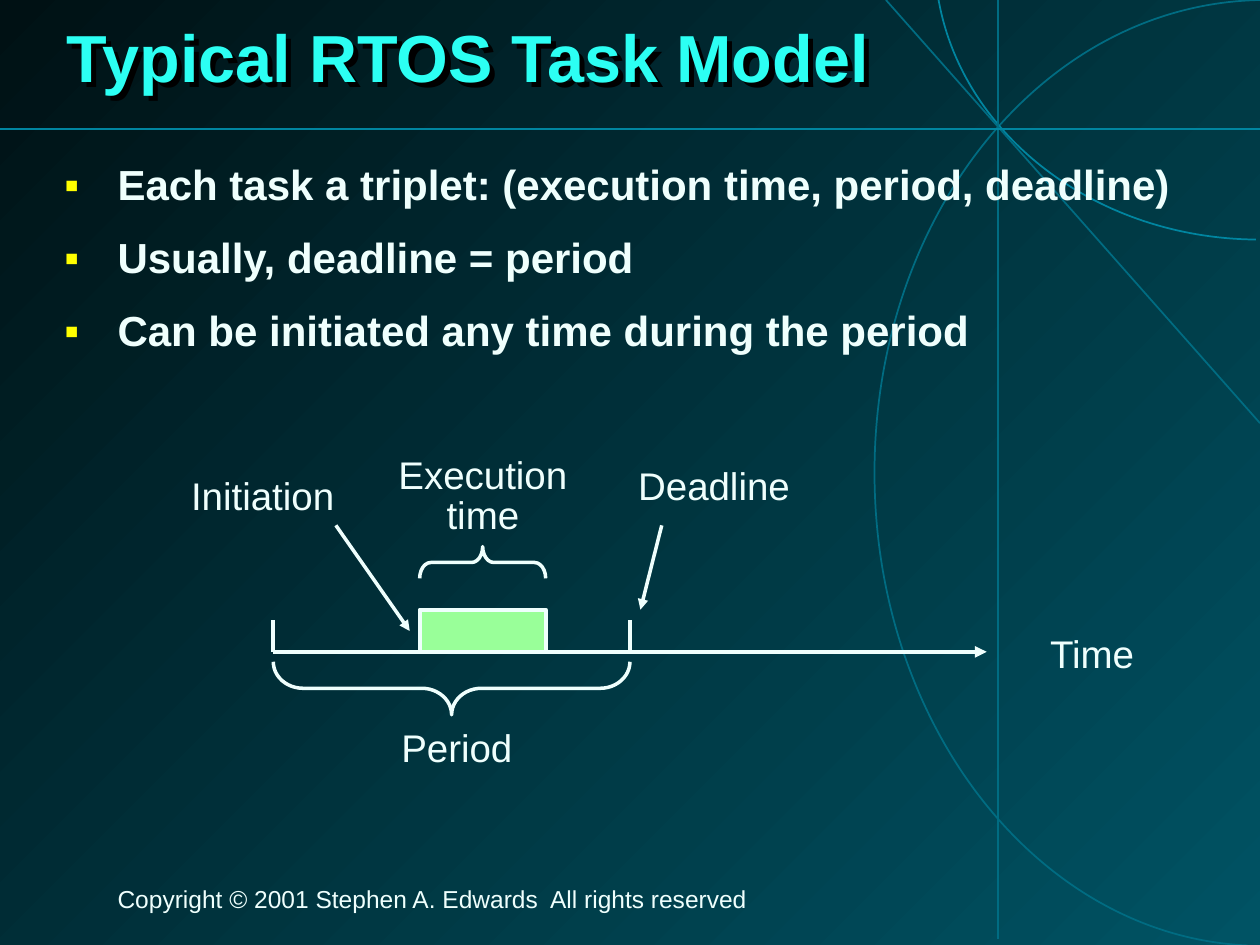
from lxml import etree
from pptx import Presentation
from pptx.dml.color import RGBColor
from pptx.enum.shapes import MSO_CONNECTOR, MSO_SHAPE
from pptx.enum.text import MSO_ANCHOR, MSO_AUTO_SIZE, PP_ALIGN
from pptx.oxml.ns import qn
from pptx.util import Cm, Pt

STRAIGHT = MSO_CONNECTOR.STRAIGHT
RECTANGLE, LEFT_BRACE = MSO_SHAPE.RECTANGLE, MSO_SHAPE.LEFT_BRACE
LEFT, CENTER = PP_ALIGN.LEFT, PP_ALIGN.CENTER
TOP, MIDDLE = MSO_ANCHOR.TOP, MSO_ANCHOR.MIDDLE
NO_FIT, GROW = MSO_AUTO_SIZE.NONE, MSO_AUTO_SIZE.SHAPE_TO_FIT_TEXT

WHITE, CYAN, YELLOW, GREEN = "EFFFFD", "2CFFF3", "FFFF00", "99FF99"
DARK_TEAL, TEAL = "006C82", "0085A0"
AXIS_Y, PERIOD_START, PERIOD_END = 13.14, 5.51, 12.7
TASK_LEFT, TASK_TOP, TASK_WIDTH = 8.46, 12.29, 2.54


def rgb(value):
    """Return the colour for a hex string."""
    return RGBColor.from_string(value)


def add_xml(parent, tag, **attributes):
    """Append a DrawingML element and return it."""
    return etree.SubElement(parent, qn(tag), attributes)


def set_line(item, color, width):
    """Set the colour and width of an outline."""
    item.line.color.rgb = rgb(color)
    item.line.width = Pt(width)


def write(frame, text, size=22, color=WHITE, bold=False, align=LEFT,
          anchor=TOP, fit=NO_FIT, spacing=0.85, before=0):
    """Fill a text frame, one paragraph per line of text."""
    frame.word_wrap = True
    frame.auto_size = fit
    frame.vertical_anchor = anchor
    frame.text = text
    for paragraph in frame.paragraphs:
        paragraph.alignment = align
        paragraph.line_spacing = spacing
        paragraph.space_before = Pt(before)
        font = paragraph.runs[0].font
        font.name, font.size, font.bold = "Arial", Pt(size), bold
        font.color.rgb = rgb(color)


def add_text(slide, text, left, top, width, height, **style):
    """Add a text box and return its frame."""
    box = slide.shapes.add_textbox(Cm(left), Cm(top), Cm(width), Cm(height))
    write(box.text_frame, text, **style)
    return box.text_frame


def add_line(slide, start, end, color=WHITE, width=2.25, arrow=False):
    """Add a straight line, with an optional arrowhead at its end."""
    line = slide.shapes.add_connector(STRAIGHT, *map(Cm, start + end))
    set_line(line, color, width)
    properties = line.element.spPr
    if arrow:
        add_xml(properties.find(qn("a:ln")), "a:tailEnd", type="triangle")
    add_xml(properties, "a:effectLst")


def add_curve(slide, points, corner, color):
    """Add a Bézier curve whose frame reaches out to a corner."""
    start, *controls = [(Cm(x), Cm(y)) for x, y in points]
    builder = slide.shapes.build_freeform(*start)
    builder.add_line_segments(controls, close=False)
    builder.move_to(*map(Cm, corner))
    curve = builder.convert_to_shape()
    curve.shadow.inherit = False
    curve.fill.background()
    set_line(curve, color, 1)
    segments = list(curve.element.iter(qn("a:lnTo")))
    for first in range(0, len(segments), 3):
        bezier = etree.Element(qn("a:cubicBezTo"))
        segments[first].addprevious(bezier)
        for segment in segments[first:first + 3]:
            bezier.append(segment[0])
            segment.getparent().remove(segment)


def add_brace(slide, left, top, width, depth, rotation, curve):
    """Add a horizontal brace, given the area that it covers once rotated."""
    shift = (width - depth) / 2
    brace = slide.shapes.add_shape(LEFT_BRACE, Cm(left + shift), Cm(top - shift),
                                   Cm(depth), Cm(width))
    brace.rotation = rotation
    brace.adjustments[0] = curve
    brace.shadow.inherit = False
    brace.fill.background()
    set_line(brace, WHITE, 2)


def add_backdrop(slide):
    """Draw the gradient, the curves, the thin lines and the footer."""
    fill = slide.background.fill
    fill.gradient()
    fill.gradient_angle = 315
    for stop, color, position in zip(fill.gradient_stops, ("001114", "005364"), (0, 1)):
        stop.color.rgb = rgb(color)
        stop.position = position
    add_curve(slide, ((25.15, 19.06), (20.96, 18.87), (17.63, 14.66), (17.63, 9.53),
                      (17.63, 4.27), (21.11, 0), (25.53, 0)), (25.53, 0), DARK_TEAL)
    add_curve(slide, ((25.32, 4.83), (22.07, 4.8), (19.33, 2.69), (18.9, -0.13)),
              (25.4, -0.89), TEAL)
    add_line(slide, (25.4, 8.53), (17.86, 0), DARK_TEAL, 1)
    add_line(slide, (20.12, 0), (20.12, 18.92), DARK_TEAL, 1)
    add_line(slide, (0, 2.6), (25.4, 2.6), TEAL, 1)
    add_text(slide, "Copyright © 2001 Stephen A. Edwards  All rights reserved",
             2.12, 17.78, 20.52, 0.76, size=14, fit=GROW, before=8.8)


def add_title(slide, text):
    """Place the title in front of the backdrop, with a black shadow."""
    title = slide.shapes.title
    slide.shapes.element.append(title.element)
    title.left, title.top, title.width, title.height = map(Cm, (1.09, 0, 23.39, 2.49))
    write(title.text_frame, text, size=38, color=CYAN, bold=True,
          anchor=MIDDLE, spacing=0.87)
    title.fill.background()
    effects = add_xml(title.element.spPr, "a:effectLst")
    shadow = add_xml(effects, "a:outerShdw", dist="53900", dir="2700000")
    add_xml(shadow, "a:srgbClr", val="000000")


def add_bullets(slide, points):
    """Add the list of points with yellow square bullets."""
    frame = add_text(slide, "\n".join(points), 1.05, 3.16, 23.16, 14.2,
                     size=24, bold=True, spacing=0.93, before=15)
    indent = Cm(1.07)
    for properties in frame._txBody.iter(qn("a:pPr")):
        properties.set("marL", str(indent))
        properties.set("indent", str(-indent))
        add_xml(add_xml(properties, "a:buClr"), "a:srgbClr", val=YELLOW)
        add_xml(properties, "a:buFont", typeface="Arial")
        add_xml(properties, "a:buChar", char="▪")


def add_timeline(slide):
    """Draw the time axis with the task, its braces and its labels."""
    add_line(slide, (PERIOD_START, AXIS_Y), (19.89, AXIS_Y), arrow=True)
    for x in (PERIOD_START, PERIOD_END):
        add_line(slide, (x, 12.5), (x, AXIS_Y))
    task = slide.shapes.add_shape(RECTANGLE, Cm(TASK_LEFT), Cm(TASK_TOP),
                                  Cm(TASK_WIDTH), Cm(AXIS_Y - TASK_TOP))
    task.shadow.inherit = False
    task.fill.solid()
    task.fill.fore_color.rgb = rgb(GREEN)
    set_line(task, WHITE, 2.25)
    add_brace(slide, PERIOD_START, 13.34, PERIOD_END - PERIOD_START, 1.07, 270, 0.56)
    add_brace(slide, TASK_LEFT, 11.02, TASK_WIDTH, 0.64, 90, 0.35)
    add_line(slide, (13.34, 10.59), (12.91, 12.29), width=2, arrow=True)
    add_line(slide, (6.77, 10.59), (8.26, 12.72), width=2, arrow=True)
    for label, left, top, width, height in (
            ("Execution time", 7.41, 9.12, 4.65, 1.85),
            ("Period", 6.77, 14.62, 4.88, 1.04),
            ("Deadline", 12.07, 9.33, 4.65, 1.04),
            ("Time", 19.69, 12.72, 4.65, 1.04),
            ("Initiation", 2.97, 9.54, 4.65, 1.04)):
        add_text(slide, label, left, top, width, height,
                 align=CENTER, fit=GROW, before=13.8)


def main():
    """Build the slide and save it."""
    deck = Presentation()
    deck.slide_width, deck.slide_height = Cm(25.4), Cm(19.05)
    slide = deck.slides.add_slide(deck.slide_layouts[5])
    add_backdrop(slide)
    add_title(slide, "Typical RTOS Task Model")
    add_bullets(slide, ("Each task a triplet: (execution time, period, deadline)",
                        "Usually, deadline = period",
                        "Can be initiated any time during the period"))
    add_timeline(slide)
    deck.save("out.pptx")


if __name__ == "__main__":
    main()
